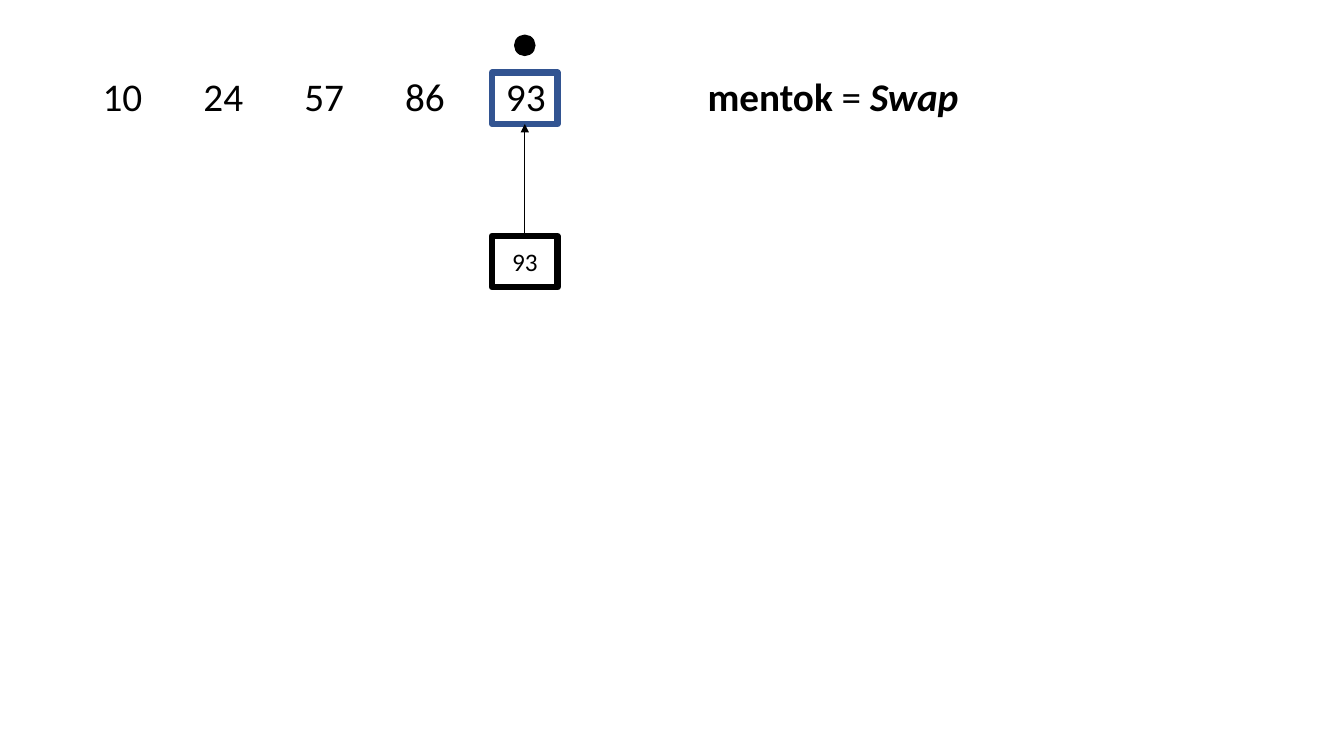
from lxml import etree
from pptx import Presentation
from pptx.dml.color import RGBColor
from pptx.enum.shapes import MSO_CONNECTOR, MSO_SHAPE
from pptx.enum.text import MSO_ANCHOR, PP_ALIGN
from pptx.oxml.ns import qn
from pptx.util import Inches, Pt

BLACK = RGBColor(0x00, 0x00, 0x00)
BLUE = RGBColor(0x32, 0x54, 0x91)
OVAL, RECT = MSO_SHAPE.OVAL, MSO_SHAPE.RECTANGLE
STRAIGHT = MSO_CONNECTOR.STRAIGHT
CENTER, MIDDLE = PP_ALIGN.CENTER, MSO_ANCHOR.MIDDLE
TOP, BOTTOM = 0, 2

COLUMN = 1.0  # inches between neighbouring numbers
LEFT, ROW_TOP = 0.92, 0.72
BOX_W, BOX_H = 0.65, 0.51
DOT = 0.2


class Board:
    font = "Calibri"

    def __init__(self, prs):
        self.slide = prs.slides.add_slide(prs.slide_layouts[6])

    def style(self, r, size, bold=False, italic=False):
        r.font.name, r.font.size = self.font, Pt(size)
        r.font.bold, r.font.italic = bold, italic
        r.font.color.rgb = BLACK

    def tabbed_line(self, parts, columns):
        """One line of (text, bold, italic) parts, with a tab stop per column."""
        sp = self.slide.shapes.add_textbox(
            Inches(LEFT), Inches(ROW_TOP), Inches(11.5), Inches(6.03))
        tf = sp.text_frame
        tf.word_wrap = True
        p = tf.paragraphs[0]
        p.line_spacing, p.space_before = 0.9, Pt(10)
        tabs = etree.SubElement(p._p.get_or_add_pPr(), qn("a:tabLst"))
        for i in range(1, columns + 1):
            etree.SubElement(tabs, qn("a:tab"), pos=str(Inches(i * COLUMN)), algn="l")
        for text, bold, italic in parts:
            r = p.add_run()
            r.text = text
            self.style(r, 28, bold, italic)

    def shape(self, kind, column, top, w, h, line, width, fill=None, text=""):
        """Shape centred on a (fractional) column."""
        left = LEFT + column * COLUMN - w / 2
        sp = self.slide.shapes.add_shape(
            kind, Inches(left), Inches(top), Inches(w), Inches(h))
        sp.shadow.inherit = False
        sp.line.color.rgb, sp.line.width = line, Pt(width)
        if fill is None:
            sp.fill.background()
        else:
            sp.fill.solid()
            sp.fill.fore_color.rgb = fill
        if text:
            tf = sp.text_frame
            tf.text = text
            tf.vertical_anchor = MIDDLE
            p = tf.paragraphs[0]
            p.alignment = CENTER
            self.style(p.runs[0], 18)
        return sp

    def arrow_up(self, lower, upper):
        cx = self.slide.shapes.add_connector(STRAIGHT, 0, 0, 0, 0)
        cx.begin_connect(lower, TOP)
        cx.end_connect(upper, BOTTOM)
        cx.line.color.rgb, cx.line.width = BLACK, Pt(0.5)
        etree.SubElement(cx.line._get_or_add_ln(), qn("a:tailEnd"), type="triangle")
        etree.SubElement(cx._element.spPr, qn("a:effectLst"))


def main():
    prs = Presentation()
    prs.slide_width, prs.slide_height = Inches(13.33), Inches(7.5)
    board = Board(prs)

    numbers = ["10", "24", "57", "86", "93"]
    board.tabbed_line([("\t".join(numbers) + "\t\t", False, False),
                       ("mentok", True, False),
                       (" = ", False, False),
                       ("Swap", True, True)], columns=len(numbers) + 1)

    last = len(numbers) - 1 + 0.285  # middle of the last number
    board.shape(OVAL, last, 0.35, DOT, DOT, BLACK, 1, fill=BLACK)
    frame = board.shape(RECT, last, ROW_TOP, BOX_W, BOX_H, BLUE, 4.5)
    value = board.shape(RECT, last, 2.34, BOX_W, BOX_H, BLACK, 4.5, text=numbers[-1])
    board.arrow_up(value, frame)

    prs.save("out.pptx")


if __name__ == "__main__":
    main()
